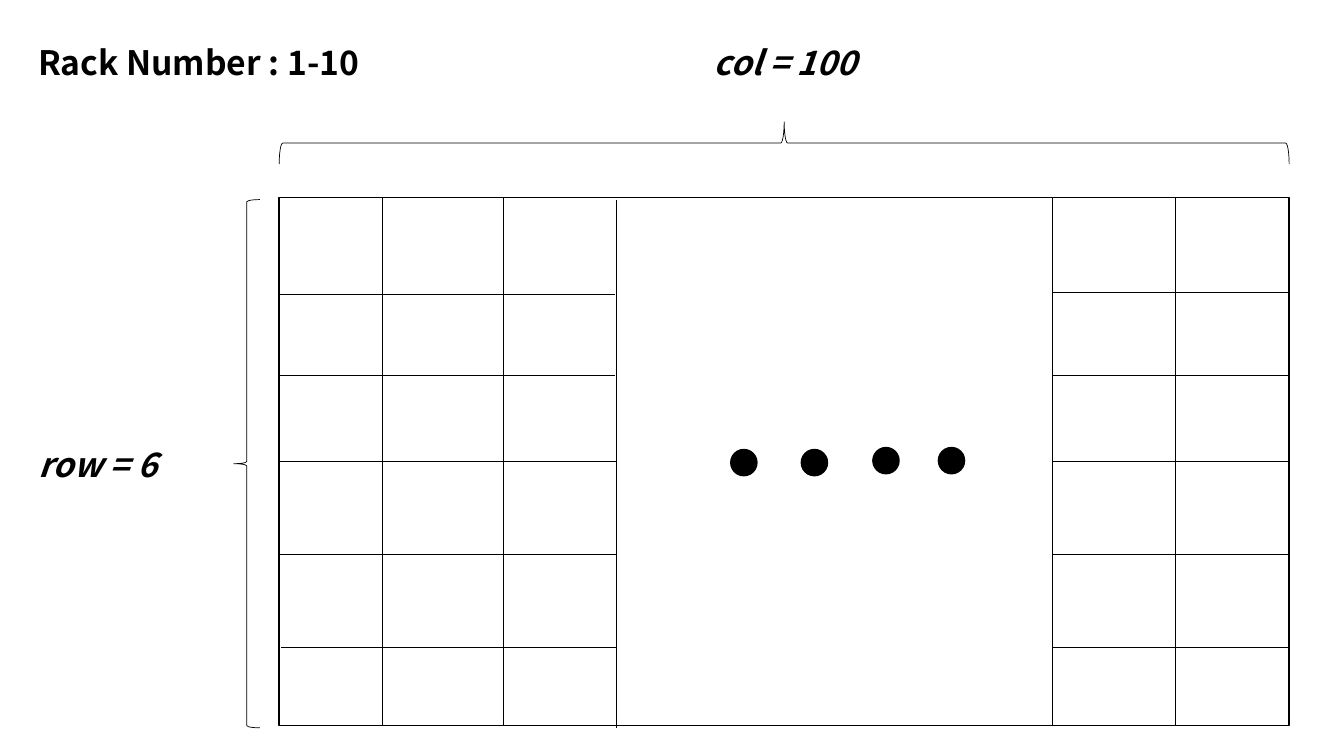
from pptx import Presentation
from pptx.util import Pt
from pptx.dml.color import RGBColor
from pptx.enum.shapes import MSO_CONNECTOR, MSO_SHAPE
from pptx.enum.text import MSO_AUTO_SIZE
from pptx.oxml.ns import qn
from lxml.etree import SubElement

BLACK = RGBColor(0, 0, 0)
FONT = "Noto Sans CJK KR"

# Rack frame
LEFT, TOP, WIDTH, HEIGHT = 199.4, 141.1, 721.4, 377.3
RIGHT, BOTTOM = LEFT + WIDTH, TOP + HEIGHT
GAP_LEFT, GAP_RIGHT = 440.6, 751.7


def add_text(slide, text, left, top, width, size=24, bold=True, italic=False):
    box = slide.shapes.add_textbox(Pt(left), Pt(top), Pt(width), Pt(36.3))
    frame = box.text_frame
    frame.word_wrap = True
    frame.auto_size = MSO_AUTO_SIZE.SHAPE_TO_FIT_TEXT
    run = frame.paragraphs[0].add_run()
    run.text = text
    font = run.font
    font.name, font.size = FONT, Pt(size)
    font.bold, font.italic = bold, italic
    font.color.rgb = BLACK


def add_shape(slide, kind, left, top, width, height, line=1, fill=None, turn=0):
    shape = slide.shapes.add_shape(kind, Pt(left), Pt(top), Pt(width), Pt(height))
    shape.shadow.inherit = False
    shape.rotation = turn
    shape.line.color.rgb = BLACK
    shape.line.width = Pt(line)
    if fill is None:
        shape.fill.background()
    else:
        shape.fill.solid()
        shape.fill.fore_color.rgb = fill


def add_line(slide, x1, y1, x2, y2):
    line = slide.shapes.add_connector(
        MSO_CONNECTOR.STRAIGHT, Pt(x1), Pt(y1), Pt(x2), Pt(y2))
    line.line.color.rgb = BLACK
    line.line.width = Pt(0.5)
    SubElement(line._element.spPr, qn("a:effectLst"))


def add_rack(slide):
    add_shape(slide, MSO_SHAPE.RECTANGLE, LEFT, TOP, WIDTH, HEIGHT)
    # Columns; the one left of the gap sits slightly lower
    for x, drop in ((272.9, 0), (359.3, 0), (GAP_LEFT, 1.5),
                    (GAP_RIGHT, 0), (839.5, 0)):
        add_line(slide, x, TOP + drop, x, BOTTOM + drop)
    # Rows: start and end on the left side, height on each side
    for start, end, y, right_y in (
            (LEFT, 439.2, 210.2, 208.8),
            (LEFT, 439.2, 267.8, 267.8),
            (LEFT, GAP_LEFT, 329.8, 329.8),
            (LEFT, GAP_LEFT, 396, 396),
            (200.9, GAP_LEFT, 462.2, 462.2)):
        add_line(slide, start, y, end, y)
        add_line(slide, GAP_RIGHT, right_y, RIGHT, right_y)


def add_dots(slide):
    for x, y in ((522, 321.1), (572.4, 321.1), (623.5, 319.7), (670.3, 319.7)):
        add_shape(slide, MSO_SHAPE.OVAL, x, y, 18.7, 18.7, fill=BLACK)


def add_braces(slide):
    add_shape(slide, MSO_SHAPE.LEFT_BRACE, 167, 142.6, 18.7, HEIGHT, line=0.5)
    # Turned a quarter, so the frame's width is the brace's height
    add_shape(slide, MSO_SHAPE.LEFT_BRACE, 545, -258.5, 30.2, WIDTH,
              line=0.5, turn=90)


def main():
    deck = Presentation()
    deck.slide_width, deck.slide_height = Pt(960), Pt(540)
    slide = deck.slides.add_slide(deck.slide_layouts[6])
    add_rack(slide)
    add_dots(slide)
    add_braces(slide)
    # Labels
    add_text(slide, "col = 100", 502.6, 26.6, 218.9, italic=True)
    add_text(slide, "row = 6", 20.2, 313.2, 133.9, italic=True)
    add_text(slide, "Rack Number : 1-10", 20.2, 26.6, 339.1)
    deck.save("out.pptx")


if __name__ == "__main__":
    main()
